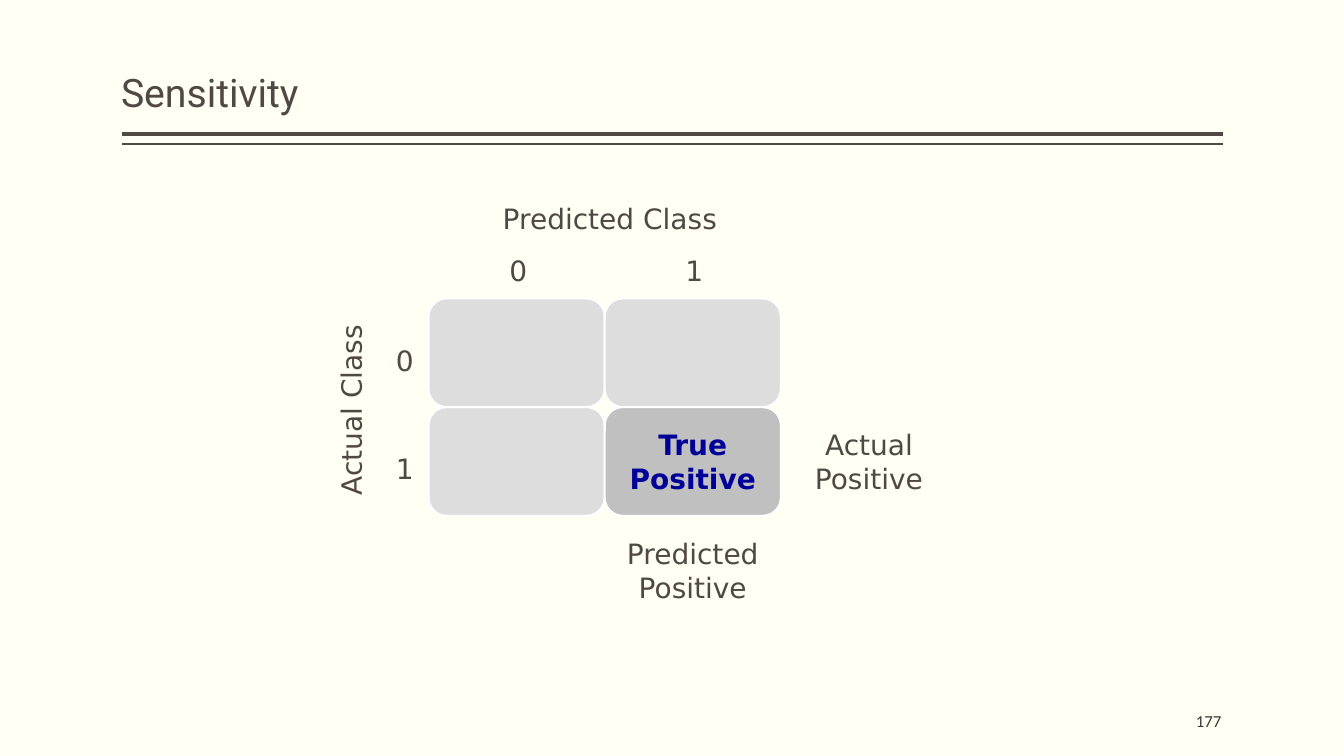
from pptx import Presentation
from pptx import util as u
from pptx.dml.color import RGBColor
from pptx.enum import shapes, text
from pptx.oxml.ns import qn
from lxml import etree

COLORS = {
    "background": "FFFFF3",
    "ink": "514843",
    "number": "3D3632",
    "cell": "DDDDDD",
    "highlight": "C0C0C0",
    "border": "FFFFFF",
    "accent": "000099",
}
TITLE = "Sensitivity"
SLIDE_NUMBER = "177"
CLASSES = ["0", "1"]
CELLS = [["", ""], ["", "True\nPositive"]]
COLUMN_TOTAL = "Predicted\nPositive"
ROW_TOTAL = "Actual\nPositive"
RULES = [(3.38, 3), (3.63, 1)]
RULE_LEFT, RULE_RIGHT = 3.07, 30.81
GRID_LEFT, GRID_TOP = 10.8, 7.52
CELL_WIDTH, CELL_HEIGHT = 4.44, 2.74
LABEL_HEIGHT = 1.12


def color(name):
    return RGBColor.from_string(COLORS[name])


def box(left, top, width, height):
    return [u.Cm(value) for value in (left, top, width, height)]


def cell_box(row, column):
    return box(GRID_LEFT + column * CELL_WIDTH, GRID_TOP + row * CELL_HEIGHT,
               CELL_WIDTH, CELL_HEIGHT)


def label_box(center_x, center_y, width):
    return box(center_x - width / 2, center_y - LABEL_HEIGHT / 2, width, LABEL_HEIGHT)


def write(shape, words, ink="ink", size=20, font="DejaVu Sans", bold=False,
          align=text.PP_ALIGN.CENTER, anchor=text.MSO_ANCHOR.MIDDLE, wrap=False):
    frame = shape.text_frame
    frame.text = words
    frame.word_wrap = wrap
    frame.vertical_anchor = anchor
    for paragraph in frame.paragraphs:
        paragraph.alignment = align
        for run in paragraph.runs:
            run.font.name = font
            run.font.size = u.Pt(size)
            run.font.bold = bold
            run.font.color.rgb = color(ink)


def add_label(slide, place, words):
    label = slide.shapes.add_textbox(*place)
    write(label, words)
    return label


def add_heading(slide):
    title = slide.shapes.title
    title.left, title.top, title.width, title.height = box(3.05, -3.38, 21.9, 6.43)
    write(title, TITLE, size=28, font="Roboto", align=text.PP_ALIGN.LEFT,
          anchor=text.MSO_ANCHOR.BOTTOM, wrap=True)
    title.text_frame.margin_left = title.text_frame.margin_right = 0
    title.text_frame.paragraphs[0].line_spacing = 0.9
    for height, weight in RULES:
        rule = slide.shapes.add_connector(
            shapes.MSO_CONNECTOR.STRAIGHT,
            u.Cm(RULE_LEFT), u.Cm(height), u.Cm(RULE_RIGHT), u.Cm(height))
        rule.line.color.rgb = color("ink")
        rule.line.width = u.Pt(weight)
        etree.SubElement(rule._element.spPr, qn("a:effectLst"))


def add_matrix(slide):
    for row, values in enumerate(CELLS):
        for column, words in enumerate(values):
            cell = slide.shapes.add_shape(
                shapes.MSO_SHAPE.ROUNDED_RECTANGLE, *cell_box(row, column))
            cell.shadow.inherit = False
            cell.fill.solid()
            cell.fill.fore_color.rgb = color("highlight" if words else "cell")
            cell.line.color.rgb = color("border")
            cell.line.width = u.Pt(1.5)
            if words:
                write(cell, words, ink="accent", bold=True)


def add_labels(slide):
    add_label(slide, cell_box(2, 1), COLUMN_TOTAL)
    add_label(slide, cell_box(1, 2), ROW_TOTAL)
    add_label(slide, label_box(15.37, 5.51, 5.94), "Predicted Class")
    actual = add_label(slide, label_box(8.84, 10.34, 4.83), "Actual Class")
    actual.rotation = 270
    for index, name in enumerate(CLASSES):
        row_center = GRID_TOP + (index + 0.5) * CELL_HEIGHT + 0.18
        column_center = GRID_LEFT + (index + 0.5) * CELL_WIDTH + 0.04
        add_label(slide, label_box(10.2, row_center, 0.97), name)
        add_label(slide, label_box(column_center, 6.81, 0.97), name)


def main():
    presentation = Presentation()
    presentation.slide_width = u.Cm(33.87)
    presentation.slide_height = u.Cm(19.05)
    slide = presentation.slides.add_slide(presentation.slide_layouts[5])
    slide.background.fill.solid()
    slide.background.fill.fore_color.rgb = color("background")
    add_heading(slide)
    add_matrix(slide)
    add_labels(slide)
    number = slide.shapes.add_textbox(*box(25.7, 17.65, 5.08, 1.02))
    write(number, SLIDE_NUMBER, ink="number", size=12, font="Calibri",
          align=text.PP_ALIGN.RIGHT, wrap=True)
    number.text_frame.margin_left = number.text_frame.margin_right = 0
    presentation.save("out.pptx")


if __name__ == "__main__":
    main()
